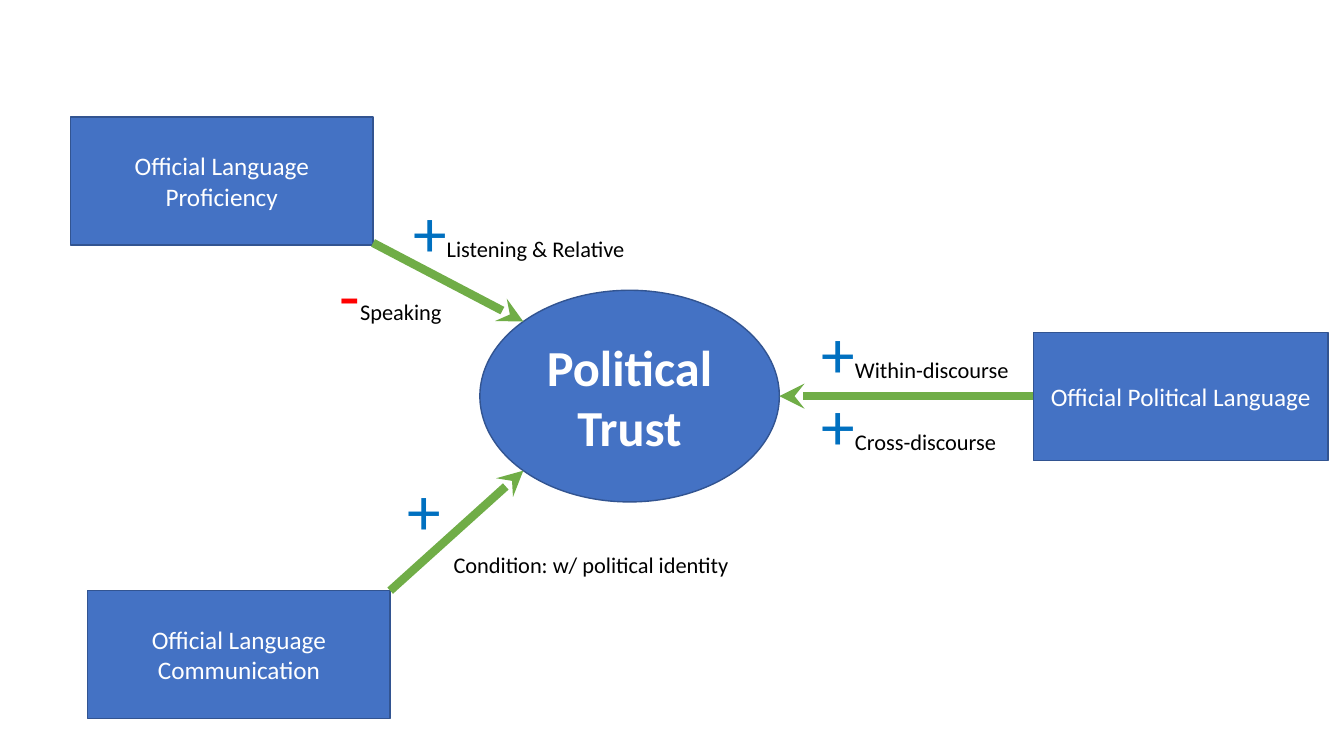
"""Builds a slide showing how language factors relate to political trust."""
from dataclasses import dataclass

from lxml.etree import SubElement
from pptx import Presentation
from pptx.dml.color import RGBColor
from pptx.enum.shapes import MSO_CONNECTOR, MSO_SHAPE
from pptx.enum.text import MSO_ANCHOR, MSO_AUTO_SIZE, PP_ALIGN
from pptx.oxml.ns import qn
from pptx.util import Inches, Pt


@dataclass(frozen=True)
class Theme:
    """Colours, type sizes and line widths."""
    font: str = "Calibri"
    node: str = "4472C4"
    border: str = "325491"
    arrow: str = "70AD47"
    light: str = "FFFFFF"
    dark: str = "000000"
    plus: str = "0070C0"
    minus: str = "FF0000"
    outcome_size: int = 36
    factor_size: int = 18
    sign_size: int = 48
    label_size: int = 16
    border_width: int = 1
    arrow_width: int = 6


THEME = Theme()
SIGN_COLORS = {"+": THEME.plus, "-": THEME.minus}

OUTCOME = ("Political Trust", (4.76, 2.88, 2.97, 2.1))
FACTORS = [
    ("Official Language Proficiency", (0.7, 1.16, 3, 1.27)),
    ("Official Language Communication", (0.87, 5.86, 3, 1.27)),
    ("Official Political Language", (10.25, 3.3, 2.92, 1.27)),
]
EFFECTS = [
    ((3.7, 2.41), (5.19, 3.19)),
    ((3.87, 5.86), (5.19, 4.67)),
    ((10.25, 3.93), (7.73, 3.93)),
]
LABELS = [
    ("+", "Listening & Relative", (4, 1.84, 2.8, 0.91)),
    ("-", "Speaking", (3.27, 2.46, 1.46, 0.91)),
    ("", "Condition: w/ political identity", (4.4, 5.42, 3.08, 0.37)),
    ("+", "", (3.94, 4.6, 0.37, 0.91)),
    ("+", "Within-discourse", (8.05, 3.04, 2.8, 0.91)),
    ("+", "Cross-discourse", (8.05, 3.75, 2.8, 0.91)),
]


def inches(values):
    return [Inches(value) for value in values]


def add_node(slide, preset, wording, box, size, bold=False):
    node = slide.shapes.add_shape(preset, *inches(box))
    node.shadow.inherit = False
    node.fill.solid()
    node.fill.fore_color.rgb = RGBColor.from_string(THEME.node)
    node.line.color.rgb = RGBColor.from_string(THEME.border)
    node.line.width = Pt(THEME.border_width)
    frame = node.text_frame
    frame.word_wrap = True
    frame.vertical_anchor = MSO_ANCHOR.MIDDLE
    paragraph = frame.paragraphs[0]
    paragraph.text = wording
    paragraph.alignment = PP_ALIGN.CENTER
    font = paragraph.font
    font.name, font.size, font.bold = THEME.font, Pt(size), bold
    font.color.rgb = RGBColor.from_string(THEME.light)


def add_effect(slide, start, end):
    effect = slide.shapes.add_connector(MSO_CONNECTOR.STRAIGHT, *inches(start + end))
    effect.line.color.rgb = RGBColor.from_string(THEME.arrow)
    effect.line.width = Pt(THEME.arrow_width)
    SubElement(effect.line._get_or_add_ln(), qn("a:tailEnd"), type="stealth")
    SubElement(effect._element.spPr, qn("a:effectLst"))


def add_label(slide, sign, wording, box):
    frame = slide.shapes.add_textbox(*inches(box)).text_frame
    frame.word_wrap = bool(sign)
    frame.auto_size = MSO_AUTO_SIZE.SHAPE_TO_FIT_TEXT
    paragraph = frame.paragraphs[0]
    paragraph.font.name = THEME.font
    parts = [
        (sign, THEME.sign_size, SIGN_COLORS.get(sign)),
        (wording, THEME.label_size, THEME.dark),
    ]
    for part, size, color in parts:
        if part:
            run = paragraph.add_run()
            run.text = part
            run.font.size = Pt(size)
            run.font.color.rgb = RGBColor.from_string(color)


def main():
    deck = Presentation()
    deck.slide_width, deck.slide_height = inches((13.33, 7.5))
    slide = deck.slides.add_slide(deck.slide_layouts[6])
    add_node(slide, MSO_SHAPE.OVAL, *OUTCOME, THEME.outcome_size, bold=True)
    for factor in FACTORS:
        add_node(slide, MSO_SHAPE.RECTANGLE, *factor, THEME.factor_size)
    for effect in EFFECTS:
        add_effect(slide, *effect)
    for label in LABELS:
        add_label(slide, *label)
    deck.save("out.pptx")


if __name__ == "__main__":
    main()
